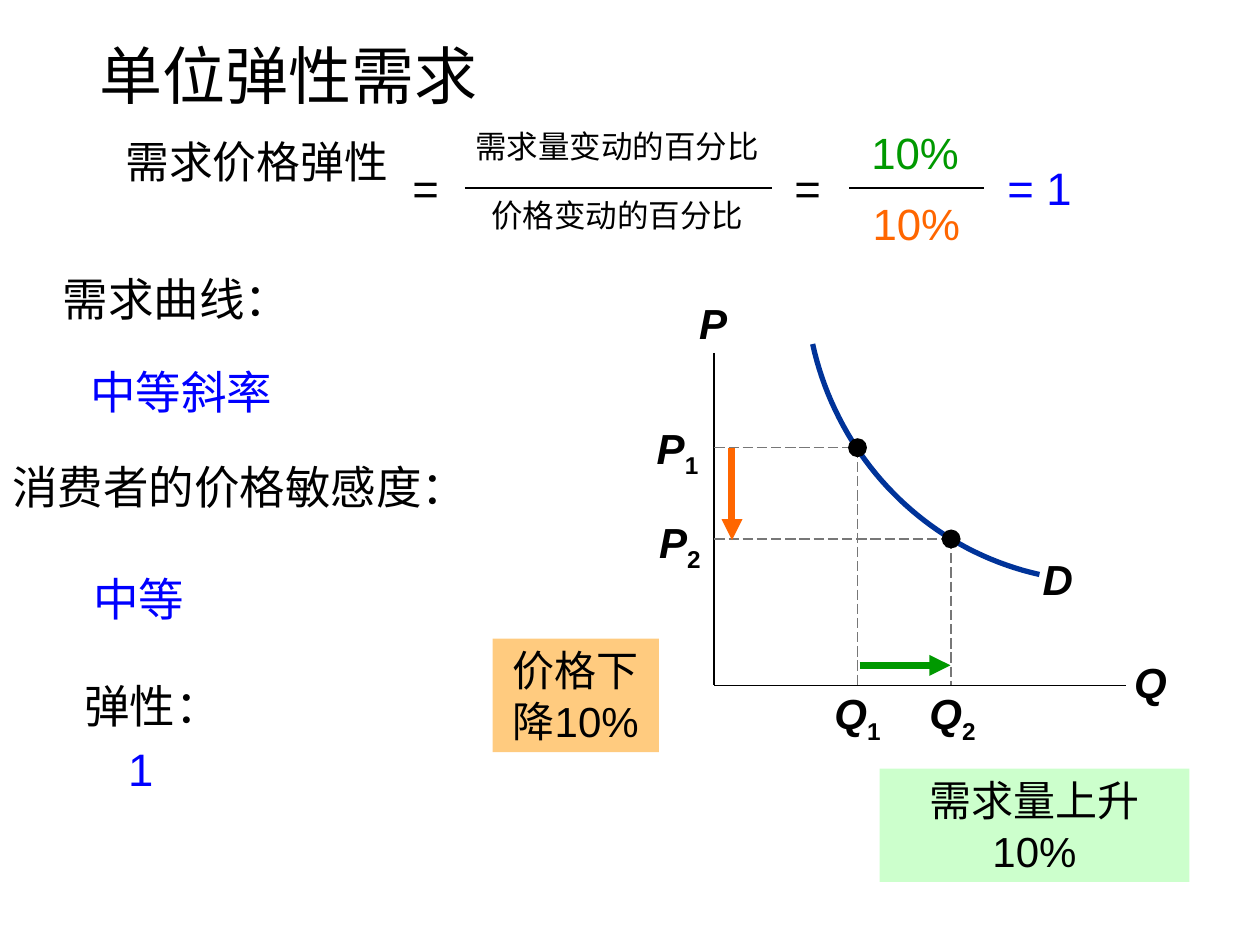
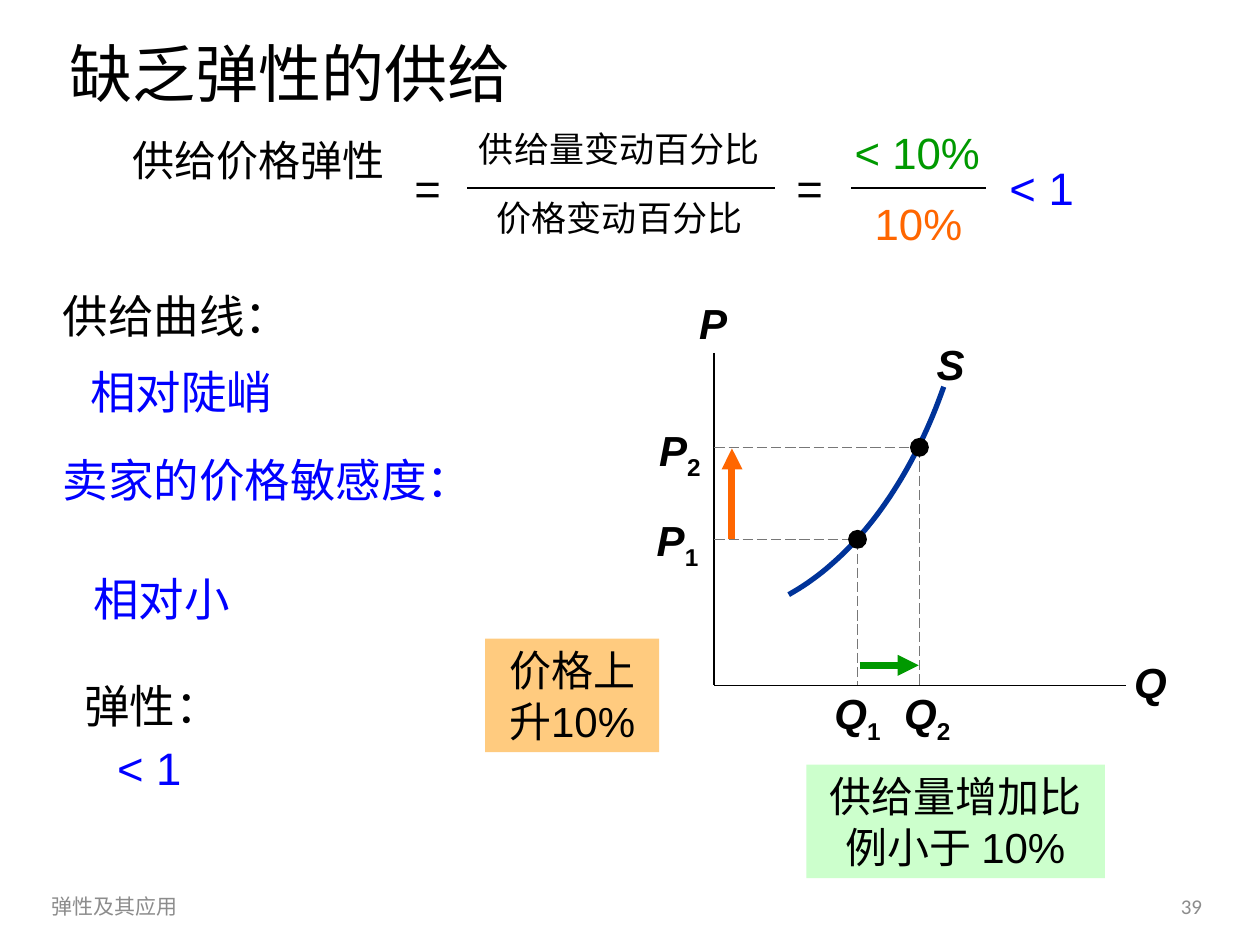
from lxml import etree
from pptx import Presentation
from pptx.dml.color import RGBColor
from pptx.enum.dml import MSO_LINE
from pptx.enum.shapes import MSO_CONNECTOR, MSO_SHAPE
from pptx.enum.text import MSO_ANCHOR, PP_ALIGN
from pptx.oxml.ns import qn
from pptx.util import Pt

LEFT, CENTER, RIGHT = PP_ALIGN.LEFT, PP_ALIGN.CENTER, PP_ALIGN.RIGHT
TOP, MIDDLE = MSO_ANCHOR.TOP, MSO_ANCHOR.MIDDLE
RECTANGLE, OVAL = MSO_SHAPE.RECTANGLE, MSO_SHAPE.OVAL
STRAIGHT, LONG_DASH = MSO_CONNECTOR.STRAIGHT, MSO_LINE.LONG_DASH

BLACK, BLUE, NAVY, GREY = "000000", "0000FF", "003399", "777777"
GREEN, ORANGE, FOOTER_GREY = "009900", "FF6600", "8C8C8C"
PRICE_FILL, QUANTITY_FILL = "FF9900", "CCFFCC"

# Content: all positions are in points
SLIDES = [
    {
        "title": ("单位弹性需求", 49.7, 20.9, 524),
        "formula": {
            "shift": 0,
            "name": ("需求价格弹性", 25),
            "words": ("需求量变动的百分比", "价格变动的百分比", 18),
            "values": ("10%", "10%"),
            "result": "= 1",
        },
        "curve": [(594, 328.3), (529.2, 313.9), (478.8, 262.1), (464.4, 196.6)],
        "curve_label": ("D", 604.4, 312.5),
        "points": [(490, 255.8), (543.5, 308)],
        "q2_label_x": 544.3,
        "price_note": ("价格下降10%", 281.5, 365, 95),
        "quantity_note": ("需求量上升10%", 502.6, 439.2, 177.1),
        "terms": [
            ("需求曲线：", 28.8, 149.8, 191.5, BLACK),
            ("中等斜率", 44.6, 203, 275.8, BLUE),
            ("消费者的价格敏感度：", 0, 257, 288, BLACK),
            ("中等", 46.1, 321.1, 206.6, BLUE),
            ("弹性：", 41, 382.3, 127.4, BLACK),
            ("1", 66.2, 418.3, 144, BLUE),
        ],
        "footer": None,
    },
    {
        "title": ("缺乏弹性的供给", 32.4, 19.4, 669),
        "formula": {
            "shift": 1.2,
            "name": ("供给价格弹性", 24),
            "words": ("供给量变动百分比", "价格变动百分比", 20),
            "values": ("< 10%", "10%"),
            "result": "< 1",
        },
        "curve": [(539.3, 221), (519.8, 276.5), (488.2, 319), (450.7, 339.8)],
        "curve_label": ("S", 543.2, 190.1),
        "points": [(490, 308.2), (525.4, 255.6)],
        "q2_label_x": 529.9,
        "price_note": ("价格上升10%", 277.2, 365, 99.4),
        "quantity_note": ("供给量增加比例小于 10%", 460.8, 437, 170.6),
        "terms": [
            ("供给曲线：", 28.8, 159.8, 172.8, BLACK),
            ("相对陡峭", 44.6, 203, 228.2, BLUE),
            ("卖家的价格敏感度：", 28.8, 253.4, 267.1, BLUE),
            ("相对小", 46.1, 321.1, 206.6, BLUE),
            ("弹性：", 41, 382.3, 127.4, BLACK),
            ("< 1", 59.8, 417.6, 144, BLUE),
        ],
        "footer": ("弹性及其应用", "39"),
    },
]

# Graph frame
AXIS_X, AXIS_Y, AXIS_TOP, AXIS_END = 408.2, 391.7, 201.6, 643.7
PRICE_ARROW_X, QUANTITY_ARROW_Y = 418.3, 380.2
LABEL_HEIGHT, DOT = 36, 10.8
CURVE_STEPS = 40


def color(hex_string):
    return RGBColor.from_string(hex_string)


def write(frame, text, size, hex_color, align=LEFT, font="Arial", anchor=TOP,
          spacing=None, bold=False, italic=False, subscript=""):
    frame.word_wrap = True
    frame.vertical_anchor = anchor
    paragraph = frame.paragraphs[0]
    paragraph.alignment = align
    if spacing:
        paragraph.line_spacing = spacing
    for part in filter(None, (text, subscript)):
        run = paragraph.add_run()
        run.text = part
        run.font.name, run.font.size = font, Pt(size)
        run.font.color.rgb = color(hex_color)
        run.font.bold, run.font.italic = bold, italic
    if subscript:
        run.font.italic = False
        run.font._element.set("baseline", "-25000")


def add_text(slide, text, left, top, width, height, size, hex_color=BLACK, **style):
    box = slide.shapes.add_textbox(Pt(left), Pt(top), Pt(width), Pt(height))
    write(box.text_frame, text, size, hex_color, **style)


def add_symbol(slide, text, left, top, width, align=CENTER, subscript=""):
    add_text(slide, text, left, top, width, LABEL_HEIGHT, 24, align=align,
             bold=True, italic=True, subscript=subscript)


def add_filled(slide, kind, left, top, width, height, hex_color):
    shape = slide.shapes.add_shape(kind, Pt(left), Pt(top), Pt(width), Pt(height))
    shape.shadow.inherit = False
    shape.fill.solid()
    shape.fill.fore_color.rgb = color(hex_color)
    shape.line.fill.background()
    return shape


def add_line(slide, start, end, hex_color=BLACK, width=1.0, dash=None, arrow=False):
    line = slide.shapes.add_connector(STRAIGHT, *(Pt(v) for v in (*start, *end)))
    line.line.color.rgb = color(hex_color)
    line.line.width = Pt(width)
    if dash:
        line.line.dash_style = dash
    if arrow:
        etree.SubElement(line.line._get_or_add_ln(), qn("a:tailEnd"), type="triangle")
    etree.SubElement(line._element.spPr, qn("a:effectLst"))


def add_curve(slide, controls):
    points = []
    for step in range(CURVE_STEPS + 1):
        t = step / CURVE_STEPS
        weights = ((1 - t) ** 3, 3 * t * (1 - t) ** 2, 3 * t * t * (1 - t), t ** 3)
        points.append(tuple(Pt(sum(w * c[axis] for w, c in zip(weights, controls)))
                            for axis in (0, 1)))
    builder = slide.shapes.build_freeform(*points[0])
    builder.add_line_segments(points[1:], close=False)
    curve = builder.convert_to_shape()
    curve.shadow.inherit = False
    curve.fill.background()
    curve.line.color.rgb = color(NAVY)
    curve.line.width = Pt(3)


def add_formula(slide, formula):
    shift = formula["shift"]
    name, name_size = formula["name"]
    numerator, denominator, word_size = formula["words"]
    upper_value, lower_value = formula["values"]
    parts = [
        (name, 57, 75.6, 179.3, name_size, BLACK, 0.95),
        ("=", 225.2, 87.8, 36, 26, BLACK, None),
        (numerator, 258.7, 69.1, 187.9, word_size, BLACK, None),
        (denominator, 258.9, 108.7, 187.9, word_size, BLACK, None),
        ("=", 443.5, 87.8, 36, 26, BLACK, None),
        (upper_value, 476.8, 68.4, 92.2, 25, GREEN, None),
        (lower_value, 477.5, 108.7, 92.2, 25, ORANGE, None),
        (formula["result"], 567.1, 87.8, 54, 26, BLUE, None),
    ]
    for text, left, top, width, size, hex_color, spacing in parts:
        add_text(slide, text, left + shift, top, width, size * 1.45, size, hex_color,
                 align=CENTER, spacing=spacing)
    for start, end in ((265.7, 441.4), (485.3, 562.1)):
        add_line(slide, (start + shift, 107.3), (end + shift, 107.3))


def add_graph(slide, content):
    # Curve and axes
    add_curve(slide, content["curve"])
    letter, center, top = content["curve_label"]
    add_symbol(slide, letter, center - 24, top, 48)
    add_line(slide, (AXIS_X, AXIS_TOP), (AXIS_X, AXIS_Y))
    add_line(slide, (AXIS_X, AXIS_Y), (AXIS_END, AXIS_Y))
    add_symbol(slide, "P", 380.2, 166.3, 54.7)
    add_symbol(slide, "Q", 630, 371.5, 54.7)

    # Guide lines, dots and labels of both points
    first, second = content["points"]
    label_rules = [("1", first[0], 406.1, 18), ("2", content["q2_label_x"], 407.5, 16.6)]
    for (x, y), (index, q_center, p_right, rise) in zip((first, second), label_rules):
        add_line(slide, (x, y), (x, AXIS_Y), GREY, 0.75, LONG_DASH)
        add_line(slide, (AXIS_X, y), (x, y), GREY, 0.75, LONG_DASH)
        add_filled(slide, OVAL, x - DOT / 2, y - DOT / 2, DOT, DOT, BLACK)
        add_symbol(slide, "Q", q_center - 23, AXIS_Y - 2.2, 46, subscript=index)
        add_symbol(slide, "P", p_right - 48, y - rise, 48, RIGHT, index)

    # Changes in price and quantity
    add_line(slide, (PRICE_ARROW_X, first[1]), (PRICE_ARROW_X, second[1] + 0.7),
             ORANGE, 4, arrow=True)
    add_line(slide, (first[0] + 1.3, QUANTITY_ARROW_Y), (second[0] - 0.4, QUANTITY_ARROW_Y),
             GREEN, 4, arrow=True)


def add_notes_on_change(slide, content):
    for key, fill, alpha in (("price_note", PRICE_FILL, 50),
                             ("quantity_note", QUANTITY_FILL, 100)):
        text, left, top, width = content[key]
        note = add_filled(slide, RECTANGLE, left, top, width, 64.8, fill)
        if alpha < 100:
            fill_color = note._element.spPr.find(".//" + qn("a:srgbClr"))
            etree.SubElement(fill_color, qn("a:alpha"), val=str(alpha * 1000))
        write(note.text_frame, text, 24, BLACK, align=CENTER)


def add_footer(slide, topic, number):
    for text, left, width, align in ((topic, 22.3, 577.4, LEFT), (number, 653.8, 54, CENTER)):
        add_text(slide, text, left, 503.3, width, 28.8, 12, FOOTER_GREY,
                 align=align, font="Calibri", anchor=MIDDLE)


def build_slide(presentation, content):
    slide = presentation.slides.add_slide(presentation.slide_layouts[6])
    title, left, top, width = content["title"]
    add_text(slide, title, left, top, width, 49, 36, font="Calibri",
             anchor=MIDDLE, spacing=0.9)
    add_formula(slide, content["formula"])
    add_graph(slide, content)
    add_notes_on_change(slide, content)
    for text, left, top, width, hex_color in content["terms"]:
        add_text(slide, text, left, top, width, 42, 26, hex_color, spacing=1.05)
    if content["footer"]:
        add_footer(slide, *content["footer"])


def main():
    presentation = Presentation()
    presentation.slide_width, presentation.slide_height = Pt(720), Pt(540)
    for content in SLIDES:
        build_slide(presentation, content)
    presentation.save("out.pptx")


if __name__ == "__main__":
    main()
